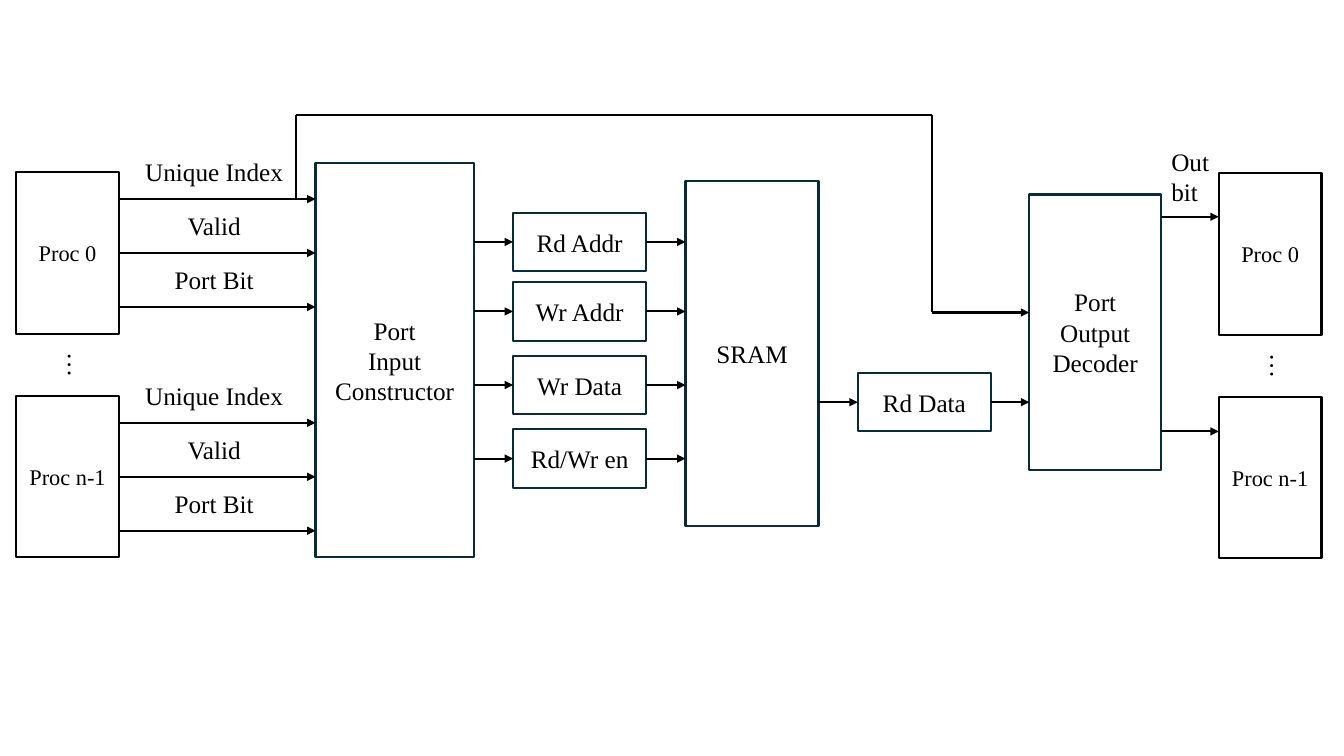
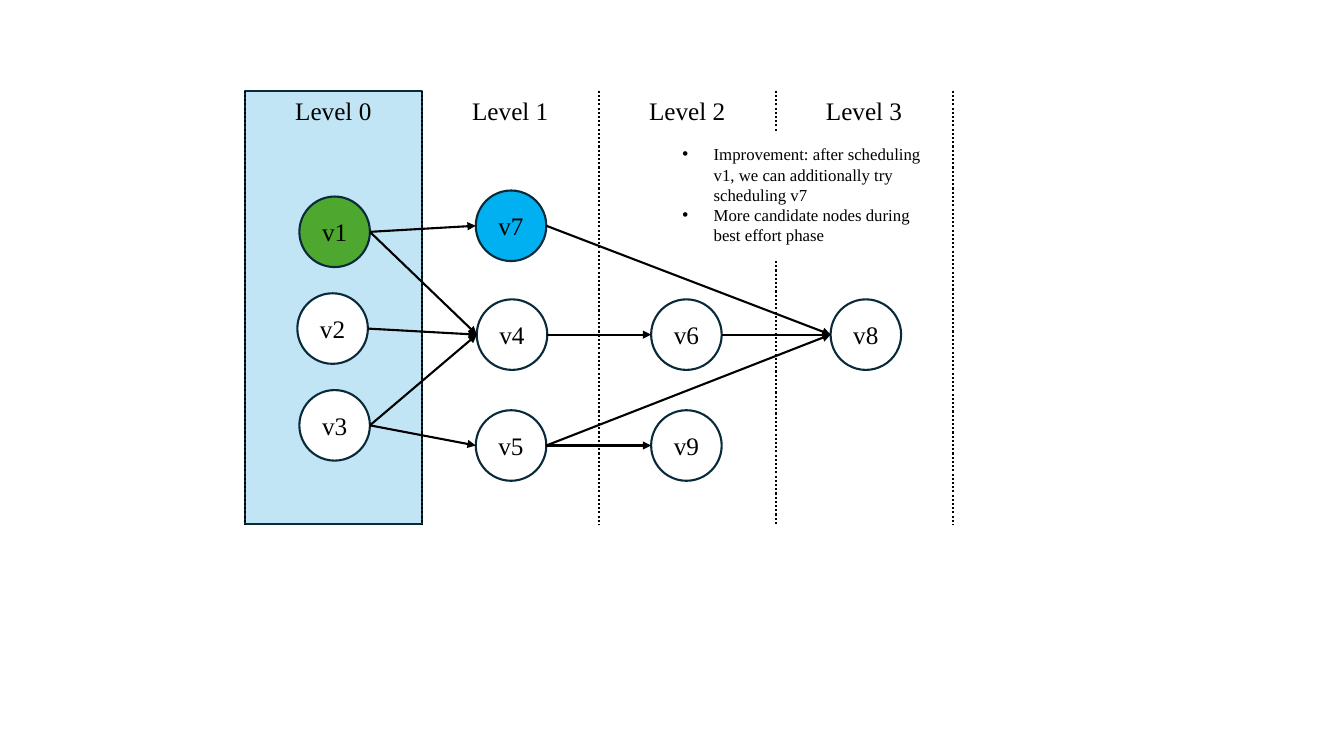
import itertools
from dataclasses import dataclass

import pptx
import pptx.dml.color
import pptx.enum.dml
import pptx.enum.shapes
import pptx.enum.text
import pptx.oxml.ns
import pptx.util
from lxml import etree

RECTANGLE = pptx.enum.shapes.MSO_SHAPE.RECTANGLE
OVAL = pptx.enum.shapes.MSO_SHAPE.OVAL
LEFT_ALIGN = pptx.enum.text.PP_ALIGN.LEFT
CENTER_ALIGN = pptx.enum.text.PP_ALIGN.CENTER
LEFT, RIGHT = 1, 3
COLUMNS, ROWS = 133.33, 75


@dataclass(frozen=True)
class Theme:
    font: str = "Times New Roman"
    ink: str = "000000"
    outline: str = "092A39"
    white: str = "FFFFFF"
    band: str = "C1E5F5"
    scheduled: str = "4EA72E"
    candidate: str = "00B0F0"
    body_size: int = 18
    processor_size: int = 16
    note_size: int = 12
    line_width: float = 1.5


THEME = Theme()


def cells(count):
    return pptx.util.Inches(count / 10)


def to_cells(length):
    return pptx.util.Length(length).inches * 10


def color(value):
    return pptx.dml.color.RGBColor.from_string(value)


def add_child(parent, tag, **attributes):
    return etree.SubElement(parent, pptx.oxml.ns.qn(tag), attributes)


def write(frame, lines, size, alignment):
    frame.word_wrap = True
    frame.margin_left = frame.margin_right = 0
    for index, line in enumerate(lines):
        paragraph = frame.add_paragraph() if index else frame.paragraphs[0]
        paragraph.alignment = alignment
        run = paragraph.add_run()
        run.text = line
        run.font.name = THEME.font
        run.font.size = pptx.util.Pt(size)
        run.font.color.rgb = color(THEME.ink)


def add_label(slide, box, lines, size=THEME.body_size, alignment=CENTER_ALIGN):
    label = slide.shapes.add_textbox(*map(cells, box))
    write(label.text_frame, lines, size, alignment)
    return label


def add_bullets(slide, box, lines):
    note = add_label(slide, box, lines, THEME.note_size, LEFT_ALIGN)
    indent = cells(3.1)
    for paragraph in note.text_frame.paragraphs:
        properties = paragraph._p.get_or_add_pPr()
        properties.set("marL", str(indent))
        properties.set("indent", str(-indent))
        add_child(properties, "a:buFont", typeface="Arial")
        add_child(properties, "a:buChar", char="•")


def add_block(slide, box, lines=(), kind=RECTANGLE, fill=None,
              outline=THEME.outline, size=THEME.body_size):
    shape = slide.shapes.add_shape(kind, *map(cells, box))
    shape.shadow.inherit = False
    if fill:
        shape.fill.solid()
        shape.fill.fore_color.rgb = color(fill)
    else:
        shape.fill.background()
    shape.line.color.rgb = color(outline)
    shape.line.width = pptx.util.Pt(THEME.line_width)
    shape.text_frame.vertical_anchor = pptx.enum.text.MSO_ANCHOR.MIDDLE
    write(shape.text_frame, lines, size, CENTER_ALIGN)
    return shape


def side_point(shape, side):
    x = shape.left + (shape.width if side == RIGHT else 0)
    return to_cells(x), to_cells(shape.top + shape.height / 2)


def add_line(slide, start, end, arrow=False, dotted=False):
    connector = slide.shapes.add_connector(
        pptx.enum.shapes.MSO_CONNECTOR.STRAIGHT, *map(cells, (*start, *end)))
    connector.line.color.rgb = color(THEME.ink)
    connector.line.width = pptx.util.Pt(THEME.line_width)
    if dotted:
        connector.line.dash_style = pptx.enum.dml.MSO_LINE.ROUND_DOT
    properties = connector.element.spPr
    if arrow:
        add_child(properties.find(pptx.oxml.ns.qn("a:ln")), "a:tailEnd", type="triangle")
    add_child(properties, "a:effectLst")
    return connector


def arrow_into(slide, source, target):
    middle = side_point(target, LEFT)[1]
    connector = add_line(slide, (side_point(source, RIGHT)[0], middle),
                         side_point(target, LEFT), arrow=True)
    connector.end_connect(target, LEFT)


def arrow_out(slide, source, target):
    middle = side_point(source, RIGHT)[1]
    connector = add_line(slide, side_point(source, RIGHT),
                         (side_point(target, LEFT)[0], middle), arrow=True)
    connector.begin_connect(source, RIGHT)


def add_processors(slide, left, top):
    processors = [
        add_block(slide, (left, top + 22.2 * index, 10.2, 16), [name],
                  outline=THEME.ink, size=THEME.processor_size)
        for index, name in enumerate(("Proc 0", "Proc n-1"))]
    dots = add_label(slide, (left + 3.9, top + 17.1, 4.5, 4), ["…"])
    dots.rotation = 90
    return processors


def add_signals(slide, processor, target):
    start, middle = side_point(processor, RIGHT)
    end = side_point(target, LEFT)[0]
    for index, name in enumerate(("Unique Index", "Valid", "Port Bit")):
        y = middle + 5.35 * (index - 1)
        add_label(slide, (13.1, y - 4.7, 16.3, 4), [name])
        if name == "Valid":
            arrow_out(slide, processor, target)
        else:
            add_line(slide, (start, y), (end, y), arrow=True)


def build_memory_slide(slide):
    inputs = add_processors(slide, 1.6, 17.1)
    outputs = add_processors(slide, 120.9, 17.2)
    constructor = add_block(slide, (31.3, 16.2, 15.7, 39.1), ["Port", "Input", "Constructor"])
    memory = add_block(slide, (68, 18, 13.2, 34.2), ["SRAM"])
    decoder = add_block(slide, (102.1, 19.3, 13.1, 27.3), ["Port", "Output", "Decoder"])

    for processor in inputs:
        add_signals(slide, processor, constructor)

    registers = (("Rd Addr", 21.1), ("Wr Addr", 28), ("Wr Data", 35.3), ("Rd/Wr en", 42.6))
    for name, top in registers:
        register = add_block(slide, (50.9, top, 13.2, 5.8), [name])
        arrow_into(slide, constructor, register)
        arrow_out(slide, register, memory)

    read_data = add_block(slide, (85.1, 37, 13.2, 5.8), ["Rd Data"])
    arrow_into(slide, memory, read_data)
    arrow_out(slide, read_data, decoder)

    bypass = [(29.4, 19.7), (29.4, 11.4), (92.5, 11.4), (92.5, 31), (102.1, 31)]
    for start, end in itertools.pairwise(bypass):
        add_line(slide, start, end, arrow=end == bypass[-1])

    for processor, y in zip(outputs, (21.5, 42.8)):
        add_line(slide, (side_point(decoder, RIGHT)[0], y),
                 (side_point(processor, LEFT)[0], y), arrow=True)
    add_label(slide, (116.2, 14, 4.6, 7.1), ["Out", "bit"], alignment=LEFT_ALIGN)


def build_levels_slide(slide):
    left, top, bottom, pitch = 24.3, 9, 52, 17.55
    add_block(slide, (left, top, pitch, bottom - top), fill=THEME.band)
    for level in range(5):
        x = left + pitch * level
        spans = [(top, 13.1), (25.9, bottom)] if level == 3 else [(top, bottom)]
        for start, end in spans:
            add_line(slide, (x, start), (x, end), dotted=True)
    for level in range(4):
        add_label(slide, (left + pitch * level, top, pitch, 4), [f"Level {level}"])

    places = {
        "v1": (29.7, 19.5, THEME.scheduled),
        "v2": (29.5, 29.1, THEME.white),
        "v3": (29.7, 38.7, THEME.white),
        "v4": (47.3, 29.7, None),
        "v5": (47.2, 40.7, None),
        "v6": (64.6, 29.7, None),
        "v7": (47.2, 18.9, THEME.candidate),
        "v8": (82.4, 29.7, None),
        "v9": (64.6, 40.7, None),
    }
    nodes = {name: add_block(slide, (x, y, 7, 7), [name], OVAL, fill)
             for name, (x, y, fill) in places.items()}
    edges = ("v1 v7", "v7 v8", "v1 v4", "v4 v6", "v6 v8",
             "v2 v4", "v3 v5", "v5 v8", "v5 v9", "v3 v4")
    for edge in edges:
        source, target = edge.split()
        add_line(slide, side_point(nodes[source], RIGHT),
                 side_point(nodes[target], LEFT), arrow=True)

    add_bullets(slide, (67.7, 13.8, 25.2, 11.1), [
        "Improvement: after scheduling v1, we can additionally try scheduling v7",
        "More candidate nodes during best effort phase",
    ])


def main():
    presentation = pptx.Presentation()
    presentation.slide_width = cells(COLUMNS)
    presentation.slide_height = cells(ROWS)
    for build in (build_memory_slide, build_levels_slide):
        build(presentation.slides.add_slide(presentation.slide_layouts[6]))
    presentation.save("out.pptx")


if __name__ == "__main__":
    main()
